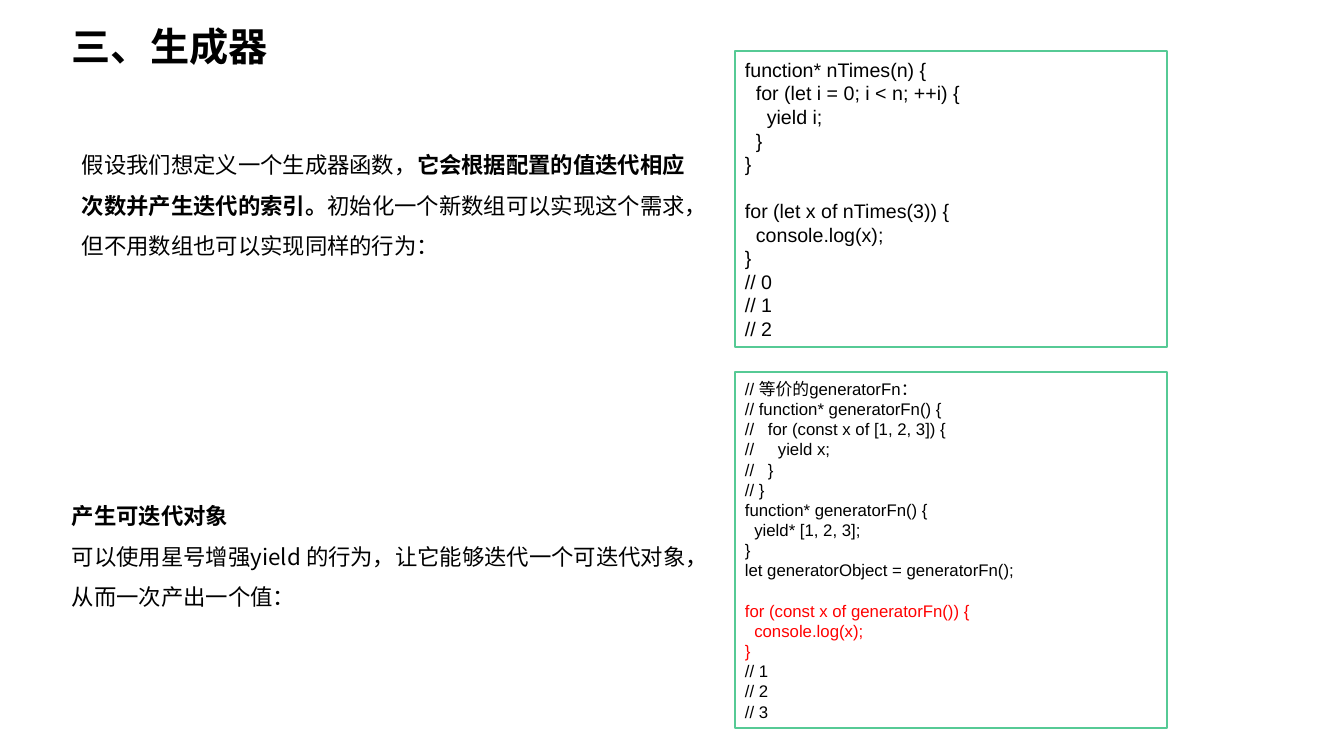
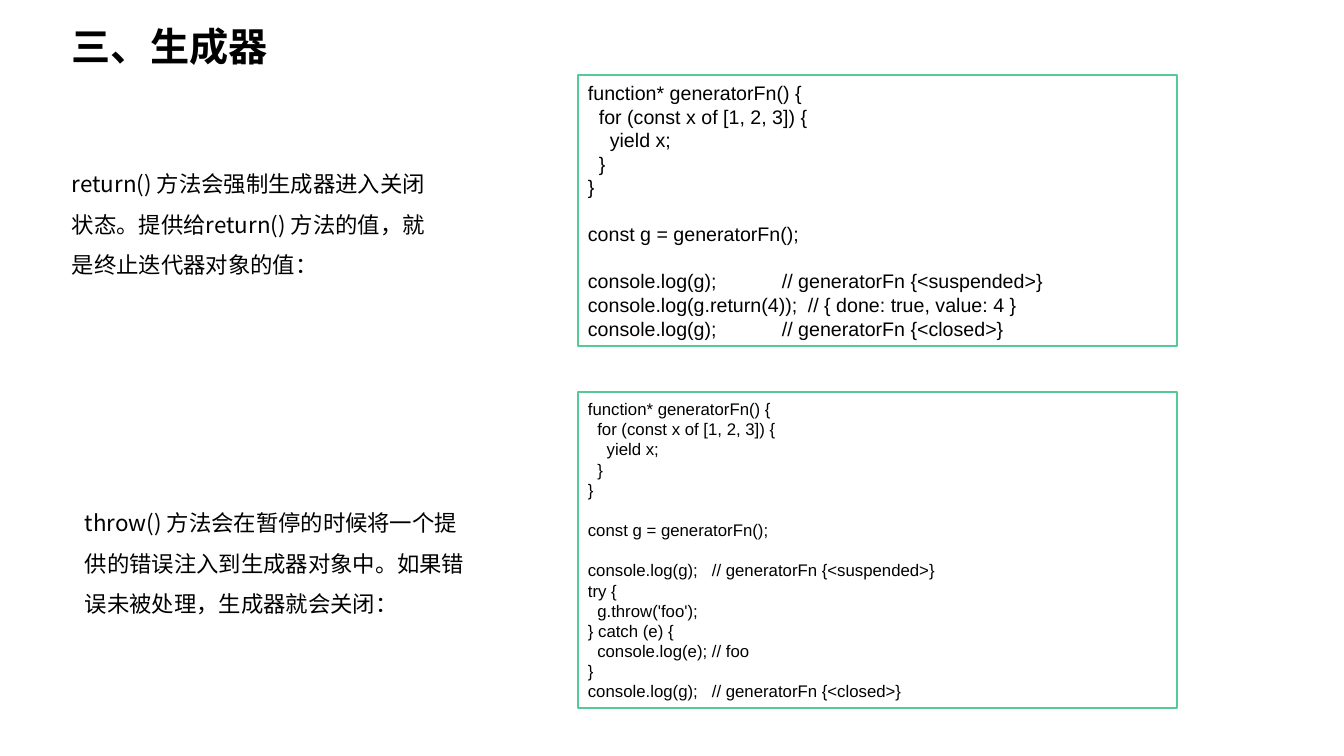
from collections.abc import Iterable
from dataclasses import dataclass

from lxml.etree import SubElement
from pptx import Presentation
from pptx.dml.color import RGBColor as Rgb
from pptx.enum.shapes import MSO_SHAPE as Kind
from pptx.enum.text import MSO_ANCHOR as Anchor, PP_ALIGN as Align
from pptx.oxml.ns import qn
from pptx.slide import Slide
from pptx.text.text import TextFrame as Frame
from pptx.util import Emu, Pt


@dataclass(frozen=True)
class Theme:
    ink: str = "000000"
    red: str = "FF0000"
    paper: str = "FFFFFF"
    edge: str = "56CA95"
    latin: str = "Arial"
    han: str = "Noto Sans CJK SC"
    head: int = 28
    body: int = 16
    code: int = 14
    small: int = 12
    rule: int = 1
    lead: float = 1.2
    loose: float = 1.8
    tab: float = 0.56


@dataclass(frozen=True)
class Box:
    left: int
    top: int
    width: int
    height: int


@dataclass(frozen=True)
class Line:
    text: str
    step: int = 0
    gap: bool = False
    stop: int = 0
    tint: str = ""


@dataclass(frozen=True)
class Prose:
    box: Box
    lines: tuple[Line, ...]


@dataclass(frozen=True)
class Code:
    box: Box
    size: int
    lines: tuple[Line, ...]


@dataclass(frozen=True)
class Page:
    prose: tuple[Prose, ...]
    code: tuple[Code, ...]


THEME = Theme()
TITLE = "三、生成器"
TITLE_BOX = Box(62, 17, 681, 57)
SCALE = 914400 / 100.8


def px(count: int) -> Emu:
    return Emu(round(count * SCALE))


def place(box: Box) -> tuple[Emu, Emu, Emu, Emu]:
    return px(box.left), px(box.top), px(box.width), px(box.height)


def write(frame: Frame, lines: Iterable[Line], *, size: int, font: str,
          lead: float, bold: bool = False, anchor: Anchor = Anchor.TOP) -> None:
    frame.word_wrap = True
    frame.vertical_anchor = anchor
    for row, line in enumerate(lines):
        para = frame.paragraphs[0] if row == 0 else frame.add_paragraph()
        para.alignment = Align.LEFT
        para.line_spacing = Pt(size * lead)
        if line.gap:
            para.space_before = Pt(size * lead)
        props = para._p.get_or_add_pPr()
        if line.step:
            props.set("marL", str(Pt(size * THEME.tab * line.step)))
            props.set("indent", "0")
        if line.stop:
            tabs = SubElement(props, qn("a:tabLst"))
            SubElement(tabs, qn("a:tab"), pos=str(px(line.stop)), algn="l")
        for part, words in enumerate(line.text.split("**")):
            if not words:
                continue
            run = para.add_run()
            run.text = words
            face = run.font
            face.size = Pt(size)
            face.name = font
            face.bold = bold or part % 2 == 1
            face.color.rgb = Rgb.from_string(line.tint or THEME.ink)
            SubElement(run._r.get_or_add_rPr(), qn("a:ea"), typeface=THEME.han)


def add_title(slide: Slide) -> None:
    area = slide.shapes.add_textbox(*place(TITLE_BOX))
    write(area.text_frame, [Line(TITLE)], size=THEME.head, font=THEME.latin,
          lead=THEME.lead, bold=True)


def add_prose(slide: Slide, prose: Prose) -> None:
    area = slide.shapes.add_textbox(*place(prose.box))
    write(area.text_frame, prose.lines, size=THEME.body, font=THEME.han,
          lead=THEME.loose)


def add_code(slide: Slide, code: Code) -> None:
    panel = slide.shapes.add_shape(Kind.RECTANGLE, *place(code.box))
    panel.shadow.inherit = False
    panel.fill.solid()
    panel.fill.fore_color.rgb = Rgb.from_string(THEME.paper)
    panel.line.color.rgb = Rgb.from_string(THEME.edge)
    panel.line.width = Pt(THEME.rule)
    write(panel.text_frame, code.lines, size=code.size, font=THEME.latin,
          lead=THEME.lead, anchor=Anchor.MIDDLE)


END = Line("}")
START = Line("function* generatorFn() {")
TIMES = (
    Line("function* nTimes(n) {"),
    Line("for (let i = 0; i < n; ++i) {", step=1),
    Line("yield i;", step=2),
    Line("}", step=1),
    END,
    Line("for (let x of nTimes(3)) {", gap=True),
    Line("console.log(x);", step=1),
    END,
    *(Line(f"// {num}") for num in range(3)),
)
STAR = (
    Line("// 等价的generatorFn："),
    Line("// function* generatorFn() {"),
    Line("//\tfor (const x of [1, 2, 3]) {", stop=23),
    Line("//\tyield x;", stop=33),
    Line("//\t}", stop=23),
    Line("// }"),
    START,
    Line("yield* [1, 2, 3];", step=1),
    END,
    Line("let generatorObject = generatorFn();"),
    Line("for (const x of generatorFn()) {", gap=True, tint=THEME.red),
    Line("console.log(x);", step=1, tint=THEME.red),
    Line("}", tint=THEME.red),
    *(Line(f"// {num}") for num in range(1, 4)),
)
SETUP = (
    START,
    Line("for (const x of [1, 2, 3]) {", step=1),
    Line("yield x;", step=2),
    Line("}", step=1),
    END,
    Line("const g = generatorFn();", gap=True),
)


def log(state: str, stop: int, gap: bool = False) -> Line:
    return Line(f"console.log(g);\t// generatorFn {{<{state}>}}", gap=gap, stop=stop)


CLOSE = (
    *SETUP,
    log("suspended", 194, gap=True),
    Line("console.log(g.return(4));\t// { done: true, value: 4 }", stop=220),
    log("closed", 194),
)
THROW = (
    *SETUP,
    log("suspended", 124, gap=True),
    Line("try {"),
    Line("g.throw('foo');", step=1),
    Line("} catch (e) {"),
    Line("console.log(e); // foo", step=1),
    END,
    log("closed", 124),
)

PAGES = (
    Page(
        prose=(
            Prose(Box(72, 133, 631, 132), (
                Line("假设我们想定义一个生成器函数，"
                     "**它会根据配置的值迭代相应次数并产生迭代的索引。**"
                     "初始化一个新数组可以实现这个需求，但不用数组也可以实现同样的行为："),
            )),
            Prose(Box(62, 484, 640, 132), (
                Line("**产生可迭代对象**"),
                Line("可以使用星号增强yield 的行为，让它能够迭代一个可迭代对象，"
                     "从而一次产出一个值："),
            )),
        ),
        code=(
            Code(Box(735, 51, 432, 296), THEME.code, TIMES),
            Code(Box(735, 372, 432, 356), THEME.small, STAR),
        ),
    ),
    Page(
        prose=(
            Prose(Box(62, 152, 391, 132), (
                Line("return() 方法会强制生成器进入关闭状态。"
                     "提供给return() 方法的值，就是终止迭代器对象的值："),
            )),
            Prose(Box(75, 491, 413, 132), (
                Line("throw() 方法会在暂停的时候将一个提供的错误注入到生成器对象中。"
                     "如果错误未被处理，生成器就会关闭："),
            )),
        ),
        code=(
            Code(Box(578, 75, 599, 271), THEME.code, CLOSE),
            Code(Box(578, 392, 599, 316), THEME.small, THROW),
        ),
    ),
)


def main() -> None:
    deck = Presentation()
    deck.slide_width, deck.slide_height = px(1344), px(756)
    for page in PAGES:
        slide = deck.slides.add_slide(deck.slide_layouts[6])
        add_title(slide)
        for prose in page.prose:
            add_prose(slide, prose)
        for code in page.code:
            add_code(slide, code)
    deck.save("out.pptx")


main()
